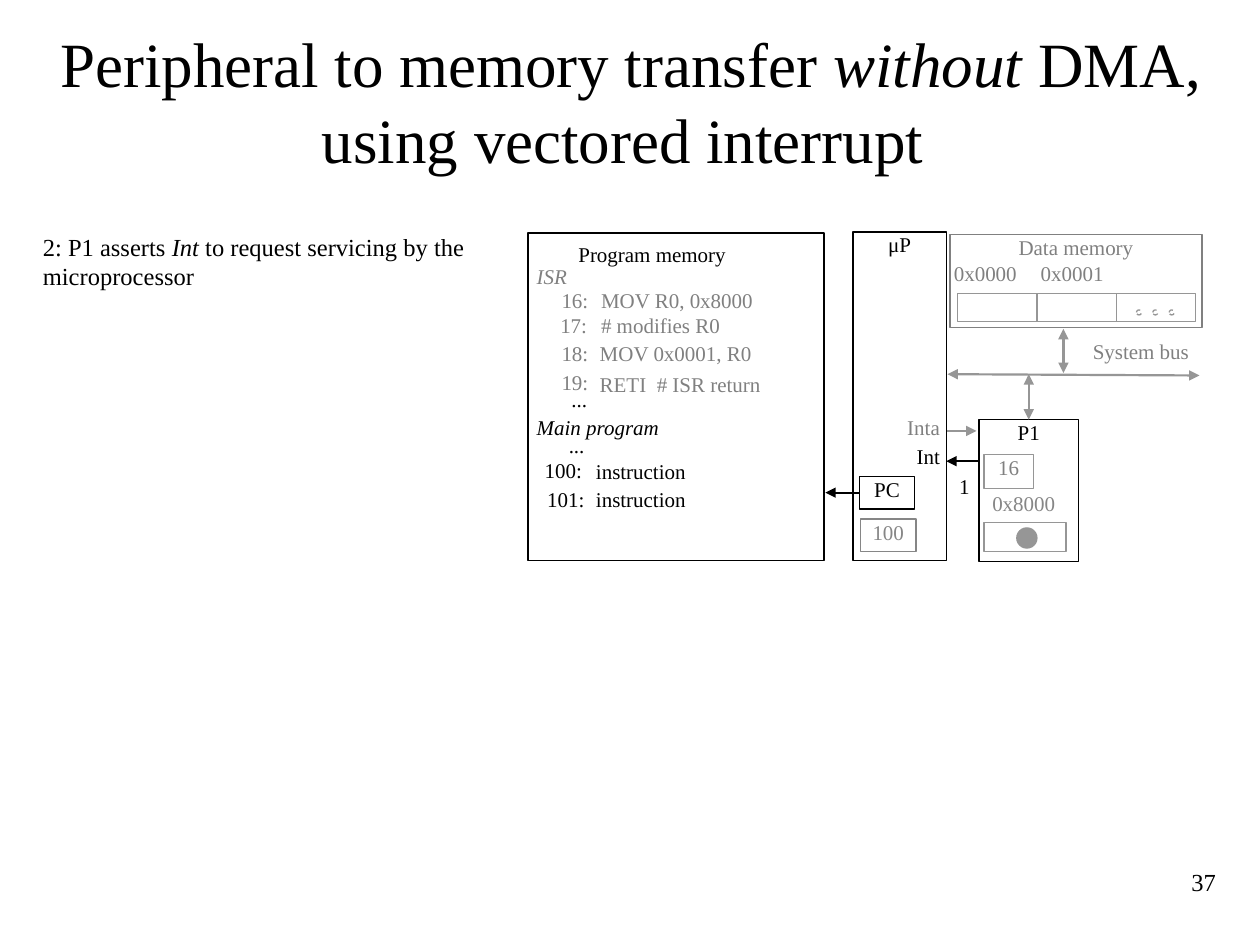
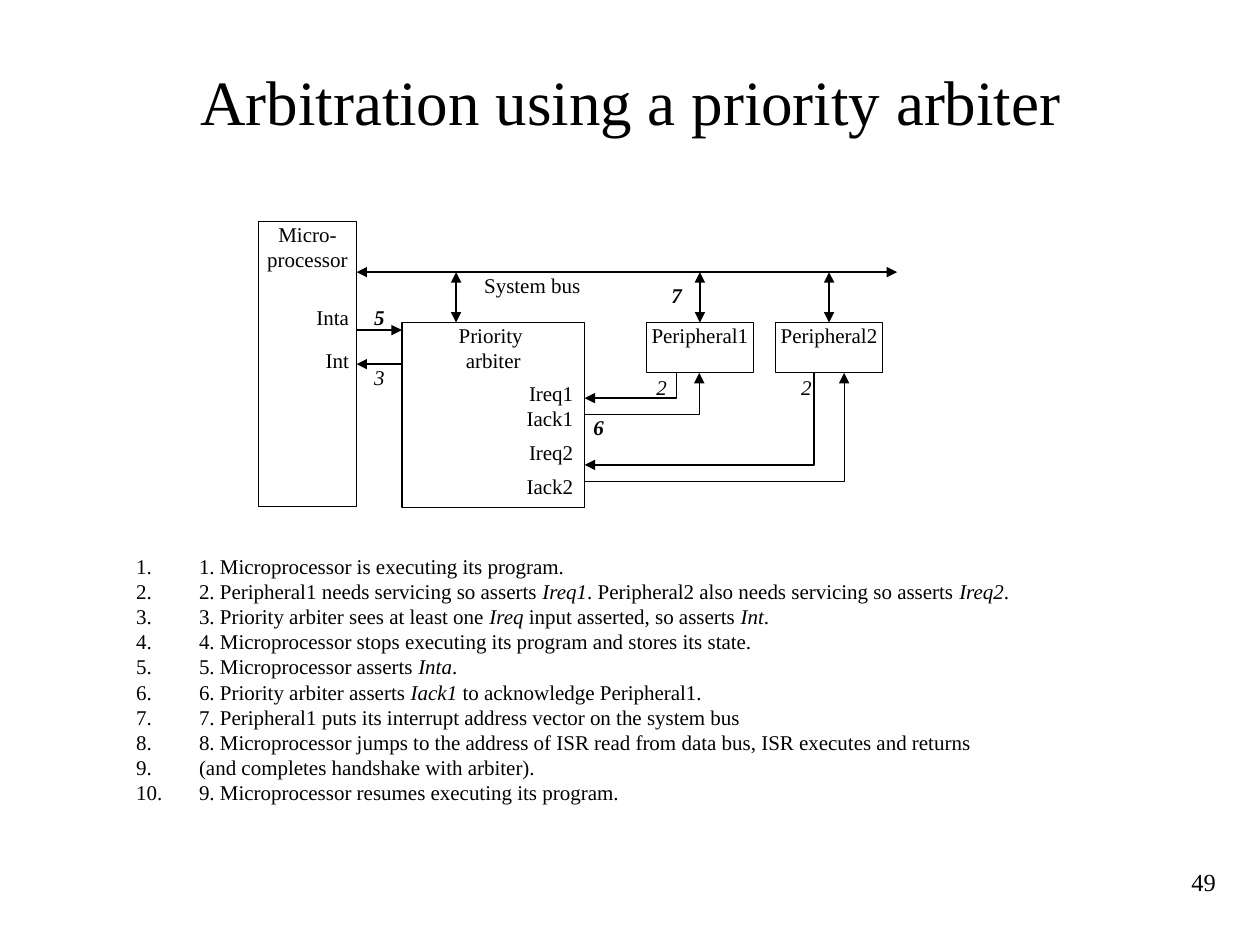
from dataclasses import dataclass
from typing import Any

import lxml.etree
import pptx
import pptx.dml.color
import pptx.enum.dml
import pptx.enum.shapes
import pptx.enum.text
import pptx.oxml.ns
import pptx.util

SLIDE_WIDTH = pptx.util.Inches(10)
SLIDE_HEIGHT = pptx.util.Inches(7.5)
CELL = SLIDE_WIDTH / 100  # the slide is a grid of 100 columns by 75 rows
FONT = "Times New Roman"
BLACK, WHITE, GREY, LINE_GREY, DARK_GREY = "000000", "FFFFFF", "808080", "969696", "868686"
THIN, THICK = 0.75, 1.25
ALIGN = pptx.enum.text.PP_ALIGN
SHAPE = pptx.enum.shapes.MSO_SHAPE
TITLE_BOX = (4.2, 1.7, 91.7, 12.5)
NUMBER_BOX = (87.5, 68.3, 10, 5)


def cells(*counts):
    return [round(count * CELL) for count in counts]


def color(hex_string):
    return pptx.dml.color.RGBColor.from_string(hex_string)


def add_element(parent, tag, **attributes):
    return lxml.etree.SubElement(parent, pptx.oxml.ns.qn(tag), attributes)


def write(frame, lines, size=12, ink=BLACK, align=ALIGN.LEFT, bold=False, italic=False,
          inset=(0, 0), anchor=pptx.enum.text.MSO_ANCHOR.TOP, numbered=False):
    """Fill a text frame with one paragraph per line; *stars* mark italic words."""
    frame.word_wrap = True
    frame.auto_size = pptx.enum.text.MSO_AUTO_SIZE.NONE
    frame.vertical_anchor = anchor
    frame.margin_left = frame.margin_right = pptx.util.Inches(inset[0])
    frame.margin_top = frame.margin_bottom = pptx.util.Inches(inset[1])
    for index, line in enumerate(lines.split("\n")):
        paragraph = frame.add_paragraph() if index else frame.paragraphs[0]
        paragraph.alignment = align
        if numbered:
            properties = paragraph._p.get_or_add_pPr()
            indent = pptx.util.Inches(0.5)
            properties.set("marL", str(indent))
            properties.set("indent", str(-indent))
            add_element(properties, "a:buFont", typeface=FONT)
            add_element(properties, "a:buAutoNum", type="arabicPeriod")
        paragraph.font.name = FONT
        paragraph.font.size = pptx.util.Pt(size)
        paragraph.font.color.rgb = color(ink)
        paragraph.font.bold = bold
        paragraph.font.italic = italic
        for position, words in enumerate(line.split("*")):
            if words:
                run = paragraph.add_run()
                run.text = words
                if position % 2:
                    run.font.italic = True


def style_line(shape, ink, weight, heads=""):
    """Set the line; heads holds 'head', 'tail' or both."""
    shape.line.color.rgb = color(ink)
    shape.line.width = pptx.util.Pt(weight)
    line = shape._element.spPr.find(pptx.oxml.ns.qn("a:ln"))
    for end in heads.split():
        add_element(line, f"a:{end}End", type="triangle")


@dataclass
class Region:
    """A box on a slide; its parts are placed in grid cells from its top left corner."""
    slide: Any
    left: float = 0
    top: float = 0
    width: float = 100
    height: float = 75

    def box(self, left, top, width, height):
        return cells(self.left + left, self.top + top, width, height)

    def point(self, x, y):
        return cells(self.left + x, self.top + y)

    def text(self, left, top, width, height, words, **style):
        text_box = self.slide.shapes.add_textbox(*self.box(left, top, width, height))
        write(text_box.text_frame, words, **style)

    def shape(self, left, top, width, height, words="", ink=BLACK, line=BLACK,
              fill=None, kind=SHAPE.RECTANGLE):
        shape = self.slide.shapes.add_shape(kind, *self.box(left, top, width, height))
        shape.shadow.inherit = False
        if fill:
            shape.fill.solid()
            shape.fill.fore_color.rgb = color(fill)
        else:
            shape.fill.background()
        style_line(shape, line, THIN)
        if words:
            write(shape.text_frame, words, ink=ink, align=ALIGN.CENTER)
        return shape

    def outline(self, words="", **style):
        return self.shape(0, 0, self.width, self.height, words, **style)

    def arrow(self, start, end, ink=BLACK, weight=THIN, heads="tail"):
        connector = self.slide.shapes.add_connector(
            pptx.enum.shapes.MSO_CONNECTOR.STRAIGHT, *self.point(*start), *self.point(*end))
        style_line(connector, ink, weight, heads)
        add_element(connector._element.spPr, "a:effectLst")
        return connector

    def bent_arrow(self, *points):
        start, *others = [self.point(*point) for point in points]
        builder = self.slide.shapes.build_freeform(*start, scale=1.0)
        builder.add_line_segments(others, close=False)
        path = builder.convert_to_shape()
        path.shadow.inherit = False
        path.fill.background()
        style_line(path, BLACK, THIN, "tail")


def add_titled_slide(presentation, title, number):
    slide = presentation.slides.add_slide(presentation.slide_layouts[5])
    placeholder = slide.shapes.title
    placeholder.left, placeholder.top, placeholder.width, placeholder.height = cells(*TITLE_BOX)
    write(placeholder.text_frame, title, size=36, align=ALIGN.CENTER, inset=(0, 0.05),
          anchor=pptx.enum.text.MSO_ANCHOR.MIDDLE)
    page = Region(slide)
    page.text(*NUMBER_BOX, number, size=14, align=ALIGN.RIGHT, inset=(0.1, 0.05))
    return page


def draw_program_memory(region):
    region.outline()
    region.text(4, 0.7, 16.1, 3, "Program memory")
    region.text(0.7, 2.4, 5, 3.1, "ISR", ink=GREY, italic=True)
    region.text(0.7, 14.4, 13.8, 3, "Main program", italic=True)
    listing = [  # label right edge, label top, label, code left, code top, code, ink
        (4.8, 4.3, "16:", 5.8, 4.3, "MOV R0, 0x8000", GREY),
        (4.7, 6.3, "17:", 5.8, 6.3, "# modifies R0", GREY),
        (4.8, 8.5, "18:", 5.7, 8.5, "MOV 0x0001, R0", GREY),
        (4.8, 10.8, "19:", 5.7, 11, "RETI  # ISR return", GREY),
        (4.7, 12.2, "...", 0, 0, "", BLACK),
        (4.5, 15.8, "...", 0, 0, "", BLACK),
        (4.3, 17.8, "100:", 5.4, 17.9, "instruction", BLACK),
        (4.5, 20.1, "101:", 5.4, 20.1, "instruction", BLACK),
    ]
    for right, label_top, label, code_left, code_top, code, ink in listing:
        region.text(right - 4.3, label_top, 4.3, 2.3, label, ink=ink, align=ALIGN.RIGHT)
        if code:
            region.text(code_left, code_top, 17.5, 2.3, code, ink=ink)


def draw_processor(region):
    """Draw the processor with its registers and return the program counter."""
    region.outline("μP")
    region.text(3.3, 14.5, 3.6, 2.9, "Inta", ink=GREY, align=ALIGN.RIGHT)
    region.text(3.6, 16.8, 3.3, 2.9, "Int", align=ALIGN.RIGHT)
    region.shape(0.6, 22.8, 4.4, 2.6, "100", ink=DARK_GREY, line=DARK_GREY)
    return region.shape(0.5, 19.4, 4.4, 2.6, "PC")


def draw_peripheral(region):
    outline = region.outline("P1")
    region.shape(0.4, 2.8, 3.9, 2.7, "16", ink=GREY, line=LINE_GREY)
    region.text(0.1, 5.6, 6.9, 2.7, "0x8000", ink=DARK_GREY, align=ALIGN.CENTER)
    region.shape(0.4, 8.2, 6.5, 2.3, line=LINE_GREY)
    region.shape(3, 8.6, 1.6, 1.6, line=LINE_GREY, fill=LINE_GREY, kind=SHAPE.OVAL)
    return outline


def draw_data_memory(region):
    region.outline("Data memory", ink=GREY, line=GREY)
    for left, address in ((0.3, "0x0000"), (7.2, "0x0001")):
        region.text(left, 2.1, 6.8, 2.2, address, ink=GREY)
    for index in range(3):
        region.shape(0.6 + 6.3 * index, 4.7, 6.3, 2.2, line=LINE_GREY)
    for index in range(3):
        dot = region.shape(14.8 + 1.3 * index, 6, 0.4, 0.4, line=LINE_GREY, kind=SHAPE.OVAL)
        dot.line.dash_style = pptx.enum.dml.MSO_LINE.DASH


def build_interrupt_slide(presentation):
    page = add_titled_slide(
        presentation,
        "Peripheral to memory transfer *without* DMA, using vectored interrupt ", "37")
    page.text(3.4, 18.4, 34.2, 9.3,
              "2: P1 asserts *Int* to request servicing by the microprocessor", size=14)
    draw_program_memory(Region(page.slide, 41.9, 18.5, 23.5, 26))
    program_counter = draw_processor(Region(page.slide, 67.7, 18.4, 7.4, 26.1))
    peripheral = draw_peripheral(Region(page.slide, 77.7, 33.3, 7.9, 11.3))
    draw_data_memory(Region(page.slide, 75.4, 18.6, 20, 7.4))

    bus = {"ink": LINE_GREY, "weight": THICK, "heads": "head tail"}
    page.arrow((75.2, 29.7), (95.2, 29.8), **bus)
    page.arrow((84.4, 26.1), (84.4, 29.6), **bus)
    page.arrow((81.65, 29.7), (81.65, 33.3), **bus).end_connect(peripheral, 0)
    page.text(85.3, 26.9, 10.5, 3.1, "System bus", ink=GREY, align=ALIGN.CENTER)
    page.arrow((68.2, 39.1), (65.5, 39.1), weight=THICK).begin_connect(program_counter, 1)
    page.arrow((75.2, 34.2), (77.5, 34.2), ink=LINE_GREY)
    page.arrow((77.6, 36.6), (75.1, 36.6))
    page.text(75.4, 37.6, 2.3, 2, "1", align=ALIGN.CENTER)


def draw_arbiter(region):
    region.outline("Priority \narbiter", fill=WHITE)
    for top, signal in ((4.6, "Ireq1"), (6.6, "Iack1"), (9.3, "Ireq2"), (12, "Iack2")):
        region.text(8.8, top, 4.8, 2, signal, align=ALIGN.RIGHT)


def draw_arbitration_diagram(region):
    processor = region.shape(0, 0, 7.8, 22.6, "Micro-processor", fill=WHITE)
    draw_arbiter(Region(region.slide, region.left + 11.4, region.top + 8, 14.5, 14.7))

    bus = {"weight": THICK, "heads": "head tail"}
    region.arrow((7.8, 4), (50.7, 4), **bus)
    region.arrow((15.7, 4), (15.7, 8), **bus)
    for index in range(2):
        left = 30.8 + 10.25 * index
        peripheral = region.shape(left, 8, 8.5, 4, f"Peripheral{index + 1}", fill=WHITE)
        middle = left + 4.25
        region.arrow((middle, 4), (middle, 8), **bus).end_connect(peripheral, 0)
    region.text(15.1, 4, 13.3, 2, "System bus", align=ALIGN.CENTER)

    region.arrow((7.8, 8.6), (11.4, 8.6))
    region.arrow((11.4, 11.3), (7.8, 11.3)).end_connect(processor, 3)
    for top, signal in ((6.6, "Inta"), (10, "Int")):
        region.text(4.2, top, 3, 2, signal, align=ALIGN.RIGHT)

    arbiter_side, peripheral_bottom = 25.9, 12
    for request_x, request_y, grant_x, grant_y in ((33.2, 14, 35, 15.3),
                                                  (44.1, 19.3, 46.5, 20.6)):
        region.bent_arrow((request_x, peripheral_bottom), (request_x, request_y),
                          (arbiter_side, request_y))
        region.bent_arrow((arbiter_side, grant_y), (grant_x, grant_y),
                          (grant_x, peripheral_bottom))

    steps = [(9, 11.3, "3", False), (9, 6.6, "5", True), (32.6, 4.8, "7", True),
             (31.4, 12.1, "2", False), (42.9, 12.1, "2", False), (26.4, 15.3, "6", True)]
    for left, top, step, bold in steps:
        region.text(left, top, 1.2, 2, step, align=ALIGN.CENTER, bold=bold, italic=True)


ARBITRATION_STEPS = """1. Microprocessor is executing its program.
2. Peripheral1 needs servicing so asserts *Ireq1*. Peripheral2 also needs servicing so asserts *Ireq2*.
3. Priority arbiter sees at least one *Ireq* input asserted, so asserts *Int*.
4. Microprocessor stops executing its program and stores its state.
5. Microprocessor asserts *Inta*.
6. Priority arbiter asserts *Iack1* to acknowledge Peripheral1.
7. Peripheral1 puts its interrupt address vector on the system bus
8. Microprocessor jumps to the address of ISR read from data bus, ISR executes and returns
(and completes handshake with arbiter).
9. Microprocessor resumes executing its program."""


def build_arbitration_slide(presentation):
    page = add_titled_slide(presentation, "Arbitration using a priority arbiter", "49")
    page.text(10.8, 43.9, 70.6, 20.3, ARBITRATION_STEPS, numbered=True)
    draw_arbitration_diagram(Region(page.slide, 20.5, 17.6, 50.7, 22.7))


def main():
    presentation = pptx.Presentation()
    presentation.slide_width = SLIDE_WIDTH
    presentation.slide_height = SLIDE_HEIGHT
    build_interrupt_slide(presentation)
    build_arbitration_slide(presentation)
    presentation.save("out.pptx")


if __name__ == "__main__":
    main()
